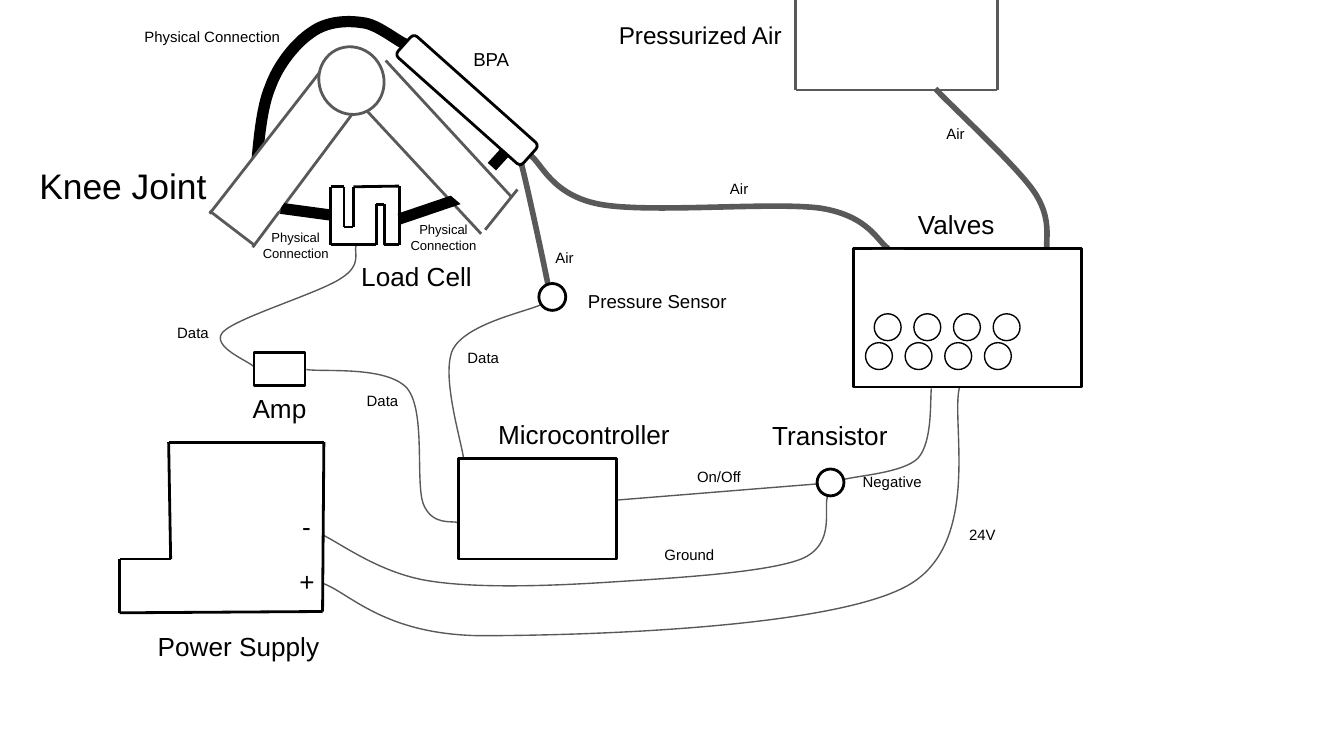
from dataclasses import dataclass
from itertools import pairwise
from typing import Any

from lxml import etree
from pptx import Presentation, util as u
from pptx.dml.color import RGBColor
from pptx.enum import shapes, text
from pptx.oxml.ns import qn


@dataclass(frozen=True)
class Theme:
    """Colours, type sizes and line widths in points."""
    font: str = "Arial"
    ink: RGBColor = RGBColor(0, 0, 0)
    grey: RGBColor = RGBColor(0x59, 0x59, 0x59)
    paper: RGBColor = RGBColor(255, 255, 255)
    tiny: int = 7
    small: int = 8
    medium: int = 10
    large: int = 13
    title: int = 14
    headline: int = 19
    thin: float = 0.75
    outline: float = 1.5
    hose: float = 3
    strap: float = 6


THEME = Theme()
COLUMNS = 100
WIDTH = u.Inches(10)
HEIGHT = WIDTH * 9 // 16
CELL = WIDTH // COLUMNS
PRESET = shapes.MSO_SHAPE
ALIGN = text.PP_ALIGN


@dataclass
class Box:
    """A region whose parts are placed in grid cells from its left top corner."""
    shapes: Any
    left: float = 0
    top: float = 0
    width: float = 0
    height: float = 0

    def grouped(self):
        """Return the same region, drawing into a new group."""
        return Box(self.shapes.add_group_shape().shapes, self.left, self.top, self.width, self.height)

    def point(self, x, y):
        """Convert local cells to slide lengths."""
        return round((self.left + x) * CELL), round((self.top + y) * CELL)

    def label(self, x, y, width, words, size, align=ALIGN.CENTER, lines=1):
        """Place a wrapped label as high as its lines of type."""
        height = u.Inches(0.2) + u.Pt(size * 1.2 * lines)
        frame = self.shapes.add_textbox(*self.point(x, y), round(width * CELL), height).text_frame
        frame.word_wrap = True
        frame.margin_top = frame.margin_bottom = u.Inches(0.1)
        paragraph = frame.paragraphs[0]
        paragraph.text = words
        paragraph.alignment = align
        paragraph.font.name, paragraph.font.size = THEME.font, u.Pt(size)
        paragraph.font.color.rgb = THEME.ink

    def shape(self, preset, x, y, width, height, line=THEME.ink, weight=THEME.outline, fill=None, turn=0):
        """Place a preset shape, with no line or fill where none is given."""
        shape = self.shapes.add_shape(preset, *self.point(x, y), round(width * CELL), round(height * CELL))
        shape.rotation = turn
        paint(shape, line, weight, fill)

    def mask(self, x, y, width, height, turn=0):
        """Place a paper-coloured patch without an outline."""
        self.shape(PRESET.RECTANGLE, x, y, width, height, None, fill=THEME.paper, turn=turn)

    def lines(self, points, colour=THEME.ink, weight=THEME.outline):
        """Join consecutive points with straight connectors."""
        for start, end in pairwise(points):
            connector = self.shapes.add_connector(
                shapes.MSO_CONNECTOR.STRAIGHT, *self.point(*start), *self.point(*end))
            connector.line.color.rgb, connector.line.width = colour, u.Pt(weight)
            etree.SubElement(connector.element.spPr, qn("a:effectLst"))

    def curve(self, points, colour=THEME.grey, weight=THEME.thin):
        """Draw a Bezier curve through every third point."""
        start, *controls = [self.point(*point) for point in points]
        builder = self.shapes.build_freeform(*start)
        builder.add_line_segments(controls, close=False)
        shape = builder.convert_to_shape()
        paint(shape, colour, weight, None)
        outline = shape.element.find(".//" + qn("a:path"))
        for index, segment in enumerate(outline.findall(qn("a:lnTo"))):
            if index % 3 == 0:
                bezier = etree.SubElement(outline, qn("a:cubicBezTo"))
            bezier.append(segment[0])
            outline.remove(segment)


def paint(shape, line, weight, fill):
    """Set the line, fill and shadow of a shape."""
    shape.shadow.inherit = False
    if line is None:
        shape.line.fill.background()
    else:
        shape.line.color.rgb, shape.line.width = line, u.Pt(weight)
    if fill is None:
        shape.fill.background()
    else:
        shape.fill.solid()
        shape.fill.fore_color.rgb = fill


def draw_links(box):
    """Draw the air hoses, wires and tendon between the devices."""
    hoses = [
        [(69.6, 6.6), (70.8, 7.9), (75.5, 12.2), (76.9, 14.2), (78.3, 16.2), (77.8, 17.8), (77.9, 18.5)],
        [(66.1, 18.5), (65.3, 18), (64.7, 16.1), (61.1, 15.5), (57.5, 15), (48.3, 15.9), (44.6, 15.2),
         (41, 14.5), (40.3, 12.1), (39.4, 11.5)],
        [(38.8, 12.2), (39.2, 13.7), (40.5, 19.7), (40.8, 21.3)]]
    wires = [
        [(61.6, 36.9), (61.2, 37.7), (62.3, 40.5), (59.6, 41.6), (57, 42.6), (50.3, 43), (45.6, 43.3),
         (41, 43.6), (35.4, 43.8), (31.8, 43.2), (28.2, 42.6), (25.3, 40.4), (24, 39.8)],
        [(46, 37.2), (48.5, 37), (58.4, 36.2), (60.9, 36)],
        [(62.7, 35.7), (63.7, 35.4), (67.2, 35.2), (68.3, 34.1), (69.4, 32.9), (69.2, 29.8), (69.3, 28.9)],
        [(22.8, 27.5), (24, 27.7), (28.8, 27.2), (30.3, 28.9), (31.7, 30.6), (30.9, 35.8), (31.5, 37.5),
         (32.2, 39.2), (33.7, 38.7), (34.1, 38.9)],
        [(24, 43.4), (26, 44.1), (28.5, 47.2), (35.7, 47.3), (43, 47.3), (61.3, 46.8), (67.3, 43.7),
         (73.2, 40.7), (70.7, 31.3), (71.4, 28.8)],
        [(26.5, 18.3), (26.3, 18.7), (27, 19.7), (25.4, 20.7), (23.8, 21.8), (17.7, 23.6), (16.6, 24.7),
         (15.6, 25.8), (18.6, 26.9), (18.9, 27.3)],
        [(40.2, 22.7), (39.1, 23.2), (34.7, 24.1), (33.7, 26), (32.8, 27.9), (34.3, 32.7), (34.5, 34.1)]]
    tendon = [(30.2, 3.3), (29.6, 3.1), (28.1, 1.8), (27, 1.7), (25.8, 1.5), (24.3, 1.6), (23.2, 2.4),
              (22, 3.2), (20.7, 4.8), (20.1, 6.5), (19.4, 8.1), (19.2, 11.3), (19.1, 12.2)]
    for hose in hoses:
        box.curve(hose, weight=THEME.hose)
    for wire in wires:
        box.curve(wire)
    box.curve(tendon, THEME.ink, THEME.strap)


def draw_link_labels(box):
    """Name what each link carries."""
    centred = [(9.4, 1.4, 12.8, "Physical Connection"), (53.1, 12.7, 3.8, "Air"), (40.1, 17.8, 3.8, "Air"),
               (69.2, 8.6, 3.8, "Air"), (70.3, 38.4, 5.6, "24V"), (50.2, 34.1, 6.6, "On/Off"),
               (48, 39.9, 6.6, "Ground")]
    left_set = [(63.2, 34.5, 6.6, "Negative"), (33.8, 25.3, 5.6, "Data"), (12.2, 23.4, 4.7, "Data"),
                (26.3, 28.5, 5.6, "Data")]
    for align, labels in ((ALIGN.CENTER, centred), (ALIGN.LEFT, left_set)):
        for label in labels:
            box.label(*label, THEME.small, align)


def draw_air_tank(box):
    """Draw the tank that is open at the top edge of the slide."""
    box.lines([(0, 0), (0, box.height), (box.width, box.height), (box.width, 0)], THEME.grey)
    box.label(-15.6, 0.5, 17, "Pressurized Air", THEME.large)


def draw_device(box, preset, label, fill=None):
    """Draw one plain device and its name."""
    box.shape(preset, 0, 0, box.width, box.height, fill=fill)
    box.label(*label)


def draw_valves(box):
    """Draw the valve block with two staggered rows of ports."""
    draw_device(box, PRESET.RECTANGLE, (-1.2, -4, 17.7, "Valves", THEME.title))
    box.mask(1.4, 0.1, 2.4, 0.6)
    for left, top in ((0.9, 7), (1.55, 4.85)):
        for port in range(4):
            box.shape(PRESET.OVAL, left + port * 2.95, top, 2, 2, weight=THEME.thin)


def draw_power_supply(box):
    """Draw the stepped power supply with its two poles."""
    box.lines([(0, box.height), (15.1, 12.6), (box.width, 0), (3.65, 0), (3.8, 8.7), (0, 8.7), (0, box.height)])
    box.label(-2, 13, 21.7, "Power Supply", THEME.title)
    box.label(12.2, 4.1, 3.4, "-", THEME.title)
    box.label(11.7, 8.2, 4.5, "+", THEME.title)


def draw_knee(box):
    """Draw the two leg segments and the joint between them."""
    box.mask(3.3, 2.8, 2.5, 11.3, 37.2)
    leg = box.grouped()
    sides = [((9.5, 0.1), (0, 12.3)), ((11.8, 3.3), (3.2, 14.8)),
             ((13.1, 0.9), (22.5, 11.1)), ((11.1, 4), (20.2, 13.8))]
    ends = [((0, 12.1), (3.4, 14.7)), ((22.9, 10.5), (20.5, 13.5))]
    for side in sides:
        leg.lines(side, THEME.grey)
    leg.shape(PRESET.OVAL, 8, 0, 5.1, 4.8, THEME.grey, fill=THEME.paper, turn=63.4)
    for end in ends:
        leg.lines(end, THEME.grey)
    box.label(-15.3, 7.6, 17.7, "Knee Joint", THEME.headline)


def draw_actuator(box):
    """Draw the tilted actuator and its anchor."""
    box.shape(PRESET.ROUNDED_RECTANGLE, 0, 0, box.width, box.height, fill=THEME.paper, turn=41.7)
    box.lines([(8.1, 6), (9.1, 4.9)], weight=THEME.strap)
    box.label(5.1, -3.7, 5.9, "BPA", THEME.medium)


def draw_load_cell(box):
    """Draw the slotted load cell, its straps and their trimmed ends."""
    box.grouped().lines([
        (0, 4.4), (0, 0.1), (1, 0.1), (1, 3.1), (1.7, 3.1), (1.7, 0.1), (5.1, 0.05),
        (5.1, 4.4), (4, 4.4), (4, 1.4), (3.4, 1.4), (3.4, 4.4), (0, 4.4)])
    for strap in ([(0, 2.2), (-3.7, 1.7)], [(5.1, 2.5), (10.7, 0.6)]):
        box.lines(strap, weight=THEME.strap)
    for mask in ((9.1, -0.3, 2.1, 1.8, 40.7), (-4.5, 1, 0.9, 0.7, 33.7), (4.4, 1.6, 0.6, 1)):
        box.mask(*mask)
    for x, y in ((-7.6, 2.3), (3.4, 1.7)):
        box.label(x, y, 10, "Physical Connection", THEME.tiny, lines=2)
    box.label(-1.6, 4.6, 16, "Load Cell", THEME.title)


def main():
    """Build and save the system diagram."""
    presentation = Presentation()
    presentation.slide_width, presentation.slide_height = WIDTH, HEIGHT
    canvas = presentation.slides.add_slide(presentation.slide_layouts[6]).shapes
    draw_links(Box(canvas))
    draw_air_tank(Box(canvas, 59.2, 0, 15, 6.7))
    draw_valves(Box(canvas, 63.5, 18.5, 17, 10.3))
    draw_device(Box(canvas, 34.1, 34.1, 11.8, 7.5), PRESET.RECTANGLE,
                (-0.1, -4, 18.9, "Microcontroller", THEME.title))
    draw_device(Box(canvas, 18.9, 26.2, 3.8, 2.5), PRESET.RECTANGLE, (-1.4, 2, 6.6, "Amp", THEME.title))
    draw_device(Box(canvas, 60.8, 34.9, 2, 2).grouped(), PRESET.OVAL,
                (-10.5, -4.7, 22.9, "Transistor", THEME.title))
    draw_device(Box(canvas, 40.1, 21.1, 2, 2), PRESET.OVAL,
                (0.7, -0.4, 16.2, "Pressure Sensor", THEME.medium), THEME.paper)
    draw_power_supply(Box(canvas, 8.9, 32.9, 15.2, 12.7))
    draw_knee(Box(canvas, 15.6, 3.6))
    draw_actuator(Box(canvas, 28.5, 6.4, 12.5, 2.1))
    draw_load_cell(Box(canvas, 24.6, 13.8))
    draw_link_labels(Box(canvas))
    presentation.save("out.pptx")


if __name__ == "__main__":
    main()
